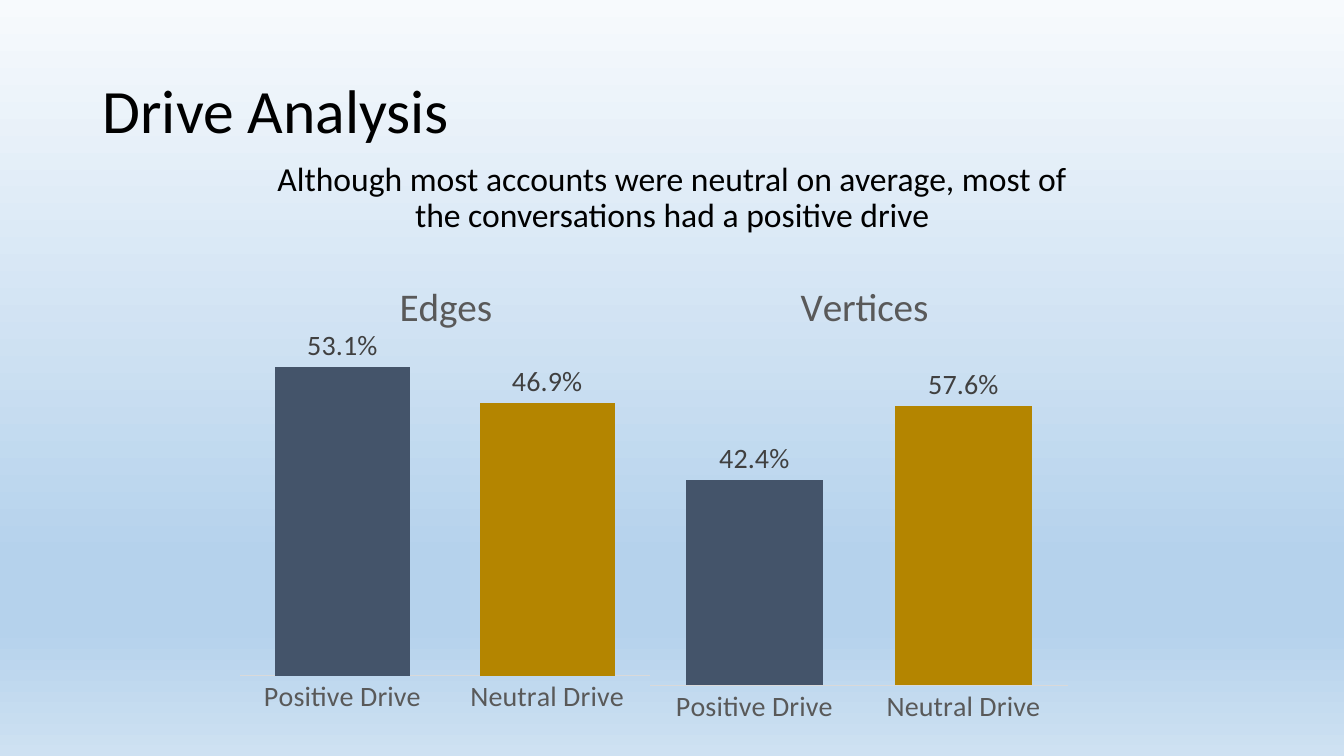
from dataclasses import dataclass

from lxml.etree import SubElement
from pptx import Presentation
from pptx.chart.chart import Chart
from pptx.chart.data import CategoryChartData
from pptx.dml.color import RGBColor
from pptx.enum.chart import XL_CHART_TYPE, XL_LABEL_POSITION, XL_TICK_LABEL_POSITION, XL_TICK_MARK
from pptx.enum.text import MSO_ANCHOR, PP_ALIGN
from pptx.oxml.ns import qn
from pptx.slide import Slide
from pptx.text.text import Font
from pptx.util import Inches, Pt


@dataclass(frozen=True)
class Theme:
    font: str = "Calibri"
    ink: str = "000000"
    axis_text: str = "595959"
    label_text: str = "404040"
    axis_line: str = "D9D9D9"
    bars: tuple[str, ...] = ("44546A", "B48500")
    backdrop: tuple[tuple[int, str], ...] = (
        (0, "F7FAFD"), (74, "B5D2EC"), (83, "B5D2EC"), (100, "CEE1F2"),
    )
    title_size: int = 44
    chart_title_size: int = 28
    body_size: int = 24
    chart_size: int = 20


@dataclass(frozen=True)
class TextBlock:
    text: str
    frame: tuple[float, float, float, float]
    size: int
    align: PP_ALIGN
    anchor: MSO_ANCHOR


@dataclass(frozen=True)
class DriveChart:
    title: str
    left: float
    values: tuple[float, float]
    maximum: float
    title_place: dict[str, float]
    plot_place: dict[str, float]


THEME = Theme()
CATEGORIES = ("Positive Drive", "Neutral Drive")
CHART_TOP, CHART_WIDTH, CHART_HEIGHT = 2.47, 4.32, 4.81
TEXTS = (
    TextBlock(
        "Although most accounts were neutral on average, most of the conversations had a positive drive",
        (2.52, 1.56, 8.29, 0.9), THEME.body_size, PP_ALIGN.CENTER, MSO_ANCHOR.TOP,
    ),
    TextBlock(
        "Drive Analysis", (0.92, 0.4, 11.5, 1.45),
        THEME.title_size, PP_ALIGN.LEFT, MSO_ANCHOR.MIDDLE,
    ),
)
CHARTS = (
    DriveChart(
        "Edges", 2.21, (0.531, 0.469), 0.6,
        {"x": 0.39, "y": 0.05}, {"x": 0.04, "y": 0.16, "w": 0.94, "h": 0.72},
    ),
    DriveChart(
        "Vertices", 6.36, (0.424, 0.576), 0.7,
        {"x": 0.35, "y": 0.05}, {"x": 0.02, "y": 0.2, "w": 0.96, "h": 0.7},
    ),
)


def style_font(font: Font, size: int, color: str) -> None:
    font.name = THEME.font
    font.size = Pt(size)
    font.bold = False
    font.color.rgb = RGBColor.from_string(color)


def paint_background(page: Slide) -> None:
    fill = page.background.fill
    fill.gradient()
    fill.gradient_angle = 270
    stops = page.element.find(".//" + qn("a:gsLst"))
    for stop in list(stops):
        stops.remove(stop)
    for percent, color in THEME.backdrop:
        stop = SubElement(stops, qn("a:gs"), pos=str(percent * 1000))
        SubElement(stop, qn("a:srgbClr"), val=color)


def add_text(page: Slide, block: TextBlock) -> None:
    box = page.shapes.add_textbox(*map(Inches, block.frame))
    frame = box.text_frame
    frame.word_wrap = True
    frame.vertical_anchor = block.anchor
    frame.text = block.text
    para = frame.paragraphs[0]
    para.alignment = block.align
    para.line_spacing = 0.9
    style_font(para.runs[0].font, block.size, THEME.ink)


def place_part(chart: Chart, tag: str, index: int, place: dict[str, float]) -> None:
    part = chart.element.find(".//" + qn(tag))
    for layout in part.findall(qn("c:layout")):
        part.remove(layout)
    layout = SubElement(part, qn("c:layout"))
    part.insert(index, layout)
    manual = SubElement(layout, qn("c:manualLayout"))
    if "w" in place:
        SubElement(manual, qn("c:layoutTarget"), val="inner")
    for side in ("x", "y"):
        SubElement(manual, qn(f"c:{side}Mode"), val="edge")
    for name, value in place.items():
        SubElement(manual, qn(f"c:{name}"), val=str(value))


def add_drive_chart(page: Slide, drive: DriveChart) -> None:
    data = CategoryChartData(number_format="0.0%")
    data.categories = CATEGORIES
    data.add_series("Series 1", drive.values)
    frame = (drive.left, CHART_TOP, CHART_WIDTH, CHART_HEIGHT)
    chart = page.shapes.add_chart(
        XL_CHART_TYPE.COLUMN_CLUSTERED, *map(Inches, frame), data
    ).chart
    style_font(chart.font, THEME.chart_size, THEME.axis_text)
    chart.has_legend = False
    chart.has_title = True
    title = chart.chart_title
    title.include_in_layout = False
    title.text_frame.text = drive.title
    span = title.text_frame.paragraphs[0].runs[0]
    style_font(span.font, THEME.chart_title_size, THEME.axis_text)

    category_axis = chart.category_axis
    category_axis.major_tick_mark = XL_TICK_MARK.NONE
    category_axis.minor_tick_mark = XL_TICK_MARK.NONE
    category_axis.tick_label_position = XL_TICK_LABEL_POSITION.NEXT_TO_AXIS
    style_font(category_axis.tick_labels.font, THEME.chart_size, THEME.axis_text)
    category_axis.format.line.width = Pt(0.75)
    category_axis.format.line.color.rgb = RGBColor.from_string(THEME.axis_line)
    value_axis = chart.value_axis
    value_axis.minimum_scale = 0
    value_axis.maximum_scale = drive.maximum
    value_axis.has_major_gridlines = False
    value_axis.visible = False

    plot = chart.plots[0]
    plot.vary_by_categories = False
    plot.gap_width = 52
    plot.overlap = -57
    plot.has_data_labels = True
    labels = plot.data_labels
    labels.show_value = True
    labels.number_format = "0.0%"
    labels.number_format_is_linked = False
    labels.position = XL_LABEL_POSITION.OUTSIDE_END
    style_font(labels.font, THEME.chart_size, THEME.label_text)
    for index, color in enumerate(THEME.bars):
        fill = plot.series[0].points[index].format.fill
        fill.solid()
        fill.fore_color.rgb = RGBColor.from_string(color)

    place_part(chart, "c:title", 1, drive.title_place)
    place_part(chart, "c:plotArea", 0, drive.plot_place)


def main() -> None:
    deck = Presentation()
    deck.slide_width = Inches(13.33)
    deck.slide_height = Inches(7.5)
    page = deck.slides.add_slide(deck.slide_layouts[6])
    paint_background(page)
    for block in TEXTS:
        add_text(page, block)
    for drive in CHARTS:
        add_drive_chart(page, drive)
    deck.save("out.pptx")


if __name__ == "__main__":
    main()
